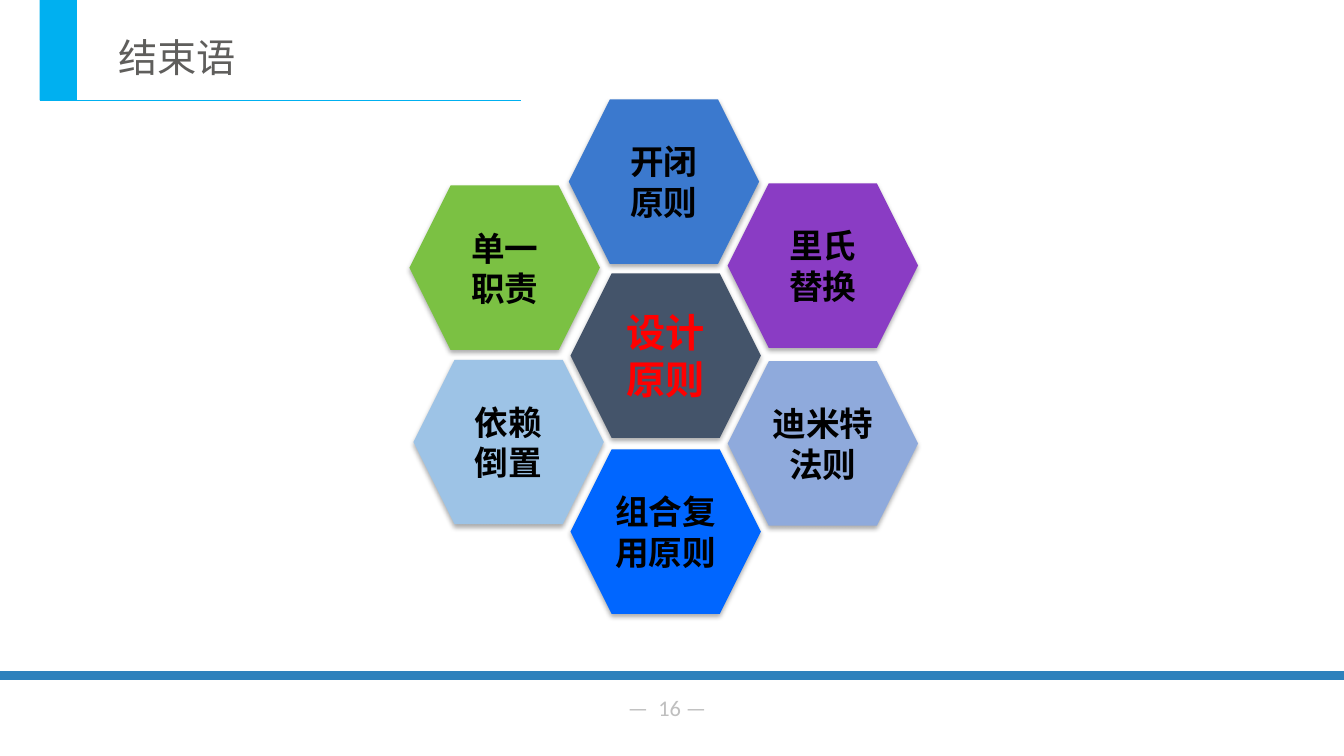
from dataclasses import dataclass

from lxml.etree import SubElement
from pptx import Presentation
from pptx.dml.color import RGBColor
from pptx.enum.shapes import MSO_CONNECTOR, MSO_SHAPE
from pptx.enum.text import MSO_ANCHOR, PP_ALIGN
from pptx.oxml.ns import qn
from pptx.util import Pt

COLORS = {
    "ink": "000000", "red": "FF0000", "title": "5F5E5C", "page": "BFBFBF",
    "cyan": "00B0F0", "rule": "2E81BC", "blue": "3B79CE", "green": "7BC143",
    "purple": "8A3CC4", "mist": "8FAADC", "slate": "44546A", "sky": "9DC3E6",
    "azure": "0066FF",
}
HEX_W, HEX_H = 136, 117.5


@dataclass
class Cell:
    left: float
    top: float
    fill: str
    text: str
    size: float = 24
    color: str = "ink"


@dataclass
class Rule:
    left: float
    right: float
    top: float
    color: str
    width: float


CELLS = [
    Cell(406.3, 71, "blue", "开闭\n原则"),
    Cell(292.5, 132.5, "green", "单一\n职责"),
    Cell(519.8, 131, "purple", "里氏\n替换"),
    Cell(519.8, 258, "mist", "迪米特法则"),
    Cell(407.5, 195.3, "slate", "设计原则", 28, "red"),
    Cell(295.3, 257, "sky", "依赖\n倒置"),
    Cell(407.5, 321, "azure", "组合复用原则"),
]
RULES = [
    Rule(0, 960, 482.4, "rule", 6),
    Rule(28.4, 372.2, 71.6, "cyan", 0.75),
]


def tint(name: str) -> RGBColor:
    return RGBColor.from_string(COLORS[name])


def write(shape, text: str, *, size: float, color: str, font: str = "Calibri",
          bold: bool = False, align=PP_ALIGN.LEFT, anchor=MSO_ANCHOR.TOP,
          wrap: bool = True) -> None:
    frame = shape.text_frame
    frame.word_wrap = wrap
    frame.vertical_anchor = anchor
    frame.text = text
    for para in frame.paragraphs:
        para.alignment = align
        for run in para.runs:
            run.font.name = font
            run.font.size = Pt(size)
            run.font.bold = bold
            run.font.color.rgb = tint(color)


def block(slide, kind, left: float, top: float, width: float, height: float,
          fill: str):
    shape = slide.shapes.add_shape(
        kind, Pt(left), Pt(top), Pt(width), Pt(height))
    shape.fill.solid()
    shape.fill.fore_color.rgb = tint(fill)
    shape.line.fill.background()
    shape.shadow.inherit = False
    return shape


def shade(shape) -> None:
    effects = shape.element.spPr.find(qn("a:effectLst"))
    outer = SubElement(effects, qn("a:outerShdw"), blurRad=str(Pt(3.5)),
                       dist=str(Pt(2.2)), dir="5400000", rotWithShape="0")
    tone = SubElement(outer, qn("a:srgbClr"), val=COLORS["ink"])
    SubElement(tone, qn("a:alpha"), val="32000")


def draw_cell(slide, cell: Cell) -> None:
    shape = block(slide, MSO_SHAPE.HEXAGON, cell.left, cell.top,
                  HEX_W, HEX_H, cell.fill)
    shade(shape)
    write(shape, cell.text, size=cell.size, color=cell.color, bold=True,
          align=PP_ALIGN.CENTER, anchor=MSO_ANCHOR.MIDDLE)


def draw_rule(slide, rule: Rule) -> None:
    line = slide.shapes.add_connector(
        MSO_CONNECTOR.STRAIGHT, Pt(rule.left), Pt(rule.top),
        Pt(rule.right), Pt(rule.top))
    line.line.color.rgb = tint(rule.color)
    line.line.width = Pt(rule.width)
    SubElement(line.element.spPr, qn("a:effectLst"))


def main() -> None:
    deck = Presentation()
    deck.slide_width, deck.slide_height = Pt(960), Pt(540)
    slide = deck.slides.add_slide(deck.slide_layouts[6])
    page = slide.shapes.add_textbox(Pt(441.5), Pt(492.5), Pt(77), Pt(26.6))
    write(page, "—  16 —", size=16, color="page", wrap=False)
    block(slide, MSO_SHAPE.RECTANGLE, 28.4, 0, 26.6, 71.6, "cyan")
    for rule in RULES:
        draw_rule(slide, rule)
    title = slide.shapes.add_textbox(Pt(77.5), Pt(20.2), Pt(325), Pt(41))
    write(title, "结束语", size=28, color="title", font="Arial")
    for cell in CELLS:
        draw_cell(slide, cell)
    deck.save("out.pptx")


if __name__ == "__main__":
    main()
